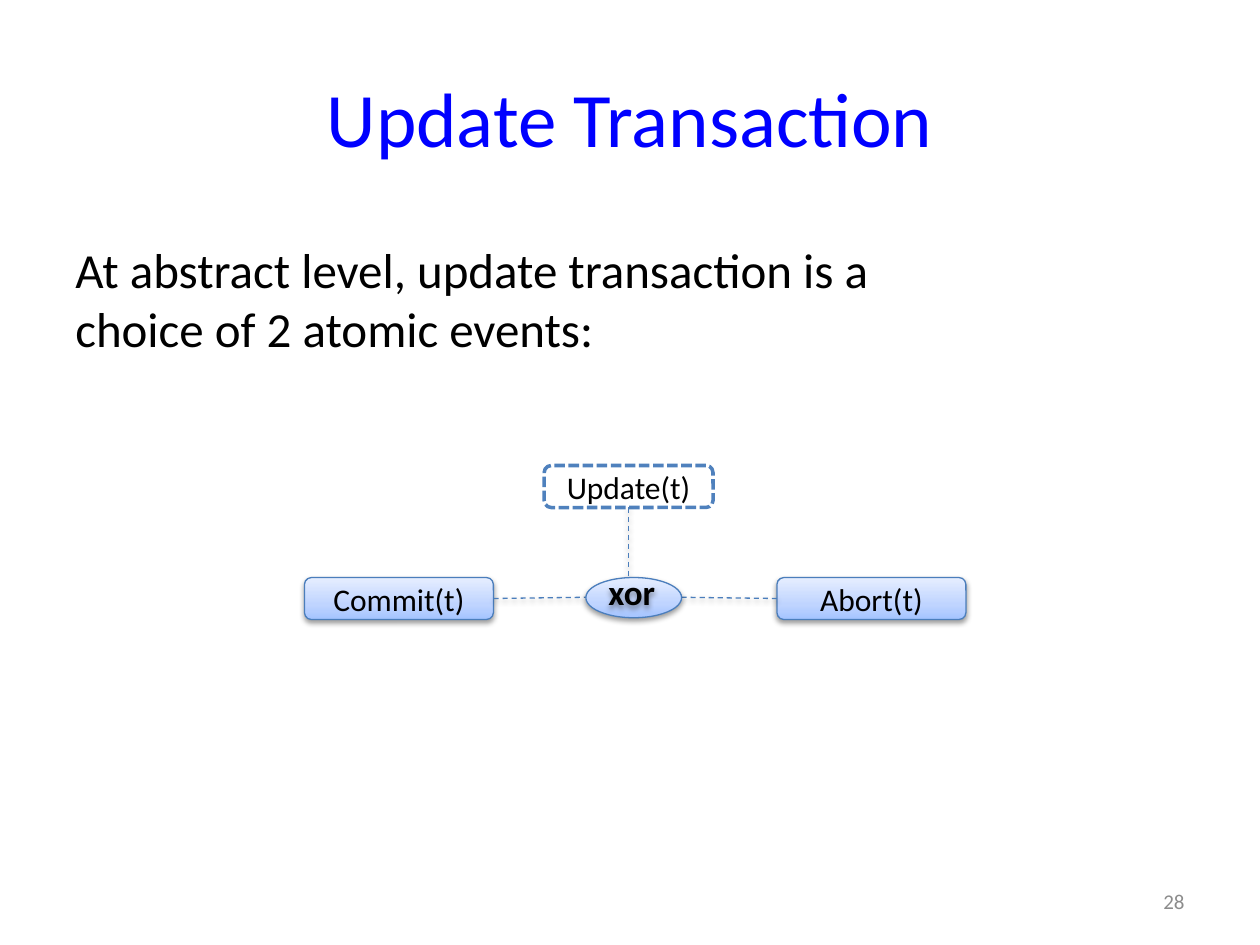
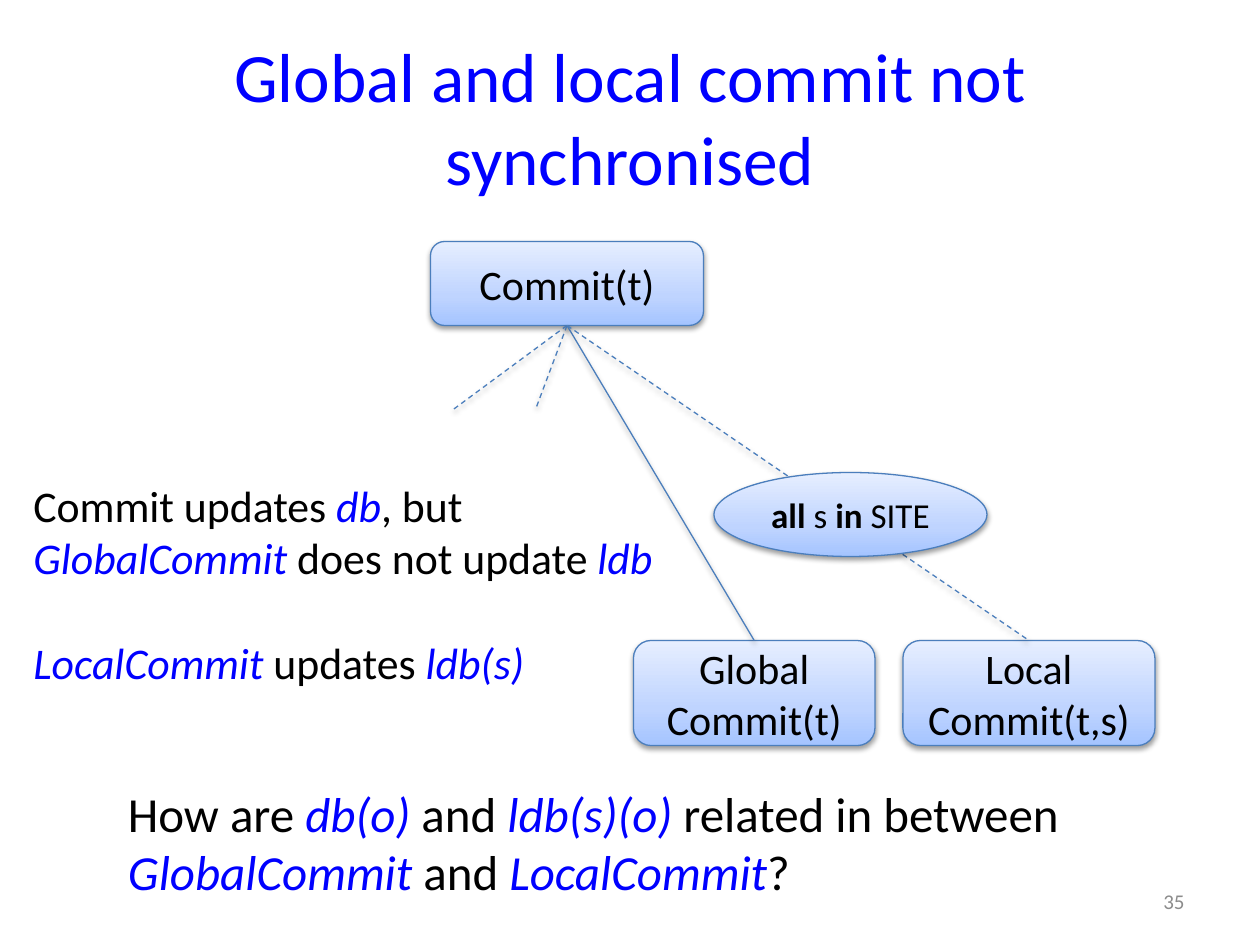
import copy

import pptx
import pptx.dml.color
import pptx.enum.dml
import pptx.enum.shapes
import pptx.enum.text
import pptx.oxml
import pptx.oxml.ns
import pptx.util

Pt = pptx.util.Pt
RGBColor = pptx.dml.color.RGBColor
qn = pptx.oxml.ns.qn
SHAPE = pptx.enum.shapes.MSO_SHAPE
DASH = pptx.enum.dml.MSO_LINE
ALIGN = pptx.enum.text.PP_ALIGN
ANCHOR = pptx.enum.text.MSO_ANCHOR

BLACK = RGBColor(0x00, 0x00, 0x00)
WHITE = RGBColor(0xFF, 0xFF, 0xFF)
BLUE = RGBColor(0x00, 0x00, 0xFF)
GREY = RGBColor(0x8C, 0x8C, 0x8C)
EDGE = RGBColor(0x4B, 0x7E, 0xBC)
DASHED_EDGE = RGBColor(0x4F, 0x81, 0xBD)
NODE_STOPS = [
    (0, RGBColor(0xA4, 0xC4, 0xFF)),
    (0.35, RGBColor(0xBF, 0xD4, 0xFF)),
    (1, RGBColor(0xE6, 0xEE, 0xFF)),
]
FONT = "Calibri"
TOP, LEFT, BOTTOM, RIGHT = range(4)
SHADOW = (
    '<a:effectLst xmlns:a="http://schemas.openxmlformats.org/drawingml/2006/main">'
    '<a:outerShdw blurRad="40000" dist="20000" dir="5400000" rotWithShape="0">'
    '<a:srgbClr val="000000"><a:alpha val="38000"/></a:srgbClr>'
    "</a:outerShdw></a:effectLst>"
)


def add_shadow(s):
    s._element.spPr.append(pptx.oxml.parse_xml(SHADOW))


def blue_italic(font):
    font.italic = True
    font.color.rgb = BLUE


def bold(font):
    font.bold = True


class Deck:
    def __init__(self):
        self.prs = pptx.Presentation()
        self.prs.slide_width, self.prs.slide_height = Pt(720), Pt(540)
        self.slide = None

    def new_slide(self, title, number, title_size=44):
        self.slide = self.prs.slides.add_slide(self.prs.slide_layouts[5])
        s = self.slide.shapes.title
        s.left, s.top, s.width, s.height = Pt(36), Pt(21.6), Pt(648), Pt(90)
        s.text_frame.auto_size = pptx.enum.text.MSO_AUTO_SIZE.NONE
        s.text_frame.vertical_anchor = ANCHOR.MIDDLE
        self.fill_text(s.text_frame, [title], title_size, BLUE, ALIGN.CENTER)
        s = self.text((516, 500.4, 168, 28.8), [number], 12, GREY, ALIGN.RIGHT)
        s.text_frame.vertical_anchor = ANCHOR.MIDDLE

    def fill_text(self, tf, lines, size, color=BLACK, align=ALIGN.LEFT,
                  emphasis=blue_italic, gap=0):
        """Add one paragraph per line; parts between asterisks get the emphasis."""
        for i, line in enumerate(lines):
            p = tf.add_paragraph() if i else tf.paragraphs[0]
            p.alignment = align
            if i and gap:
                p.space_before = Pt(gap)
            p.font.name, p.font.size = FONT, Pt(size)
            p.font.color.rgb = color
            for j, part in enumerate(line.split("*")):
                if part:
                    r = p.add_run()
                    r.text = part
                    if j % 2:
                        emphasis(r.font)

    def text(self, box, lines, size, color=BLACK, align=ALIGN.LEFT,
             emphasis=blue_italic, gap=0, wrap=True):
        s = self.slide.shapes.add_textbox(*map(Pt, box))
        s.text_frame.word_wrap = wrap
        self.fill_text(s.text_frame, lines, size, color, align, emphasis, gap)
        return s

    def outline(self, box, label, size, kind):
        s = self.slide.shapes.add_shape(kind, *map(Pt, box))
        s.text_frame.vertical_anchor = ANCHOR.MIDDLE
        self.fill_text(s.text_frame, [label], size, BLACK, ALIGN.CENTER, bold)
        return s

    def node(self, box, label, size, kind=SHAPE.ROUNDED_RECTANGLE):
        """Add a shaded event box or operator ellipse."""
        s = self.outline(box, label, size, kind)
        s.fill.gradient()
        s.fill.gradient_angle = 90
        stops = s._element.spPr.find(".//" + qn("a:gsLst"))
        stops.append(copy.deepcopy(stops[0]))
        for stop, (position, color) in zip(s.fill.gradient_stops, NODE_STOPS):
            stop.position, stop.color.rgb = position, color
        s.line.color.rgb, s.line.width = EDGE, Pt(0.75)
        add_shadow(s)
        return s

    def dashed_node(self, box, label, size):
        s = self.outline(box, label, size, SHAPE.ROUNDED_RECTANGLE)
        s.shadow.inherit = False
        s.fill.solid()
        s.fill.fore_color.rgb = WHITE
        s.line.color.rgb, s.line.width = DASHED_EDGE, Pt(2)
        s.line.dash_style = DASH.SQUARE_DOT
        return s

    def link(self, start, side, end, end_side=TOP, dashed=True):
        """Join a side of start to another shape, or to a point (x, y)."""
        free = isinstance(end, tuple)
        x, y = map(Pt, end) if free else (end.left, end.top)
        s = self.slide.shapes.add_connector(
            pptx.enum.shapes.MSO_CONNECTOR.STRAIGHT, start.left, start.top, x, y)
        s.begin_connect(start, side)
        if not free:
            s.end_connect(end, end_side)
        s.line.color.rgb, s.line.width = EDGE, Pt(0.75)
        if dashed:
            s.line.dash_style = DASH.DASH
        add_shadow(s)


def update_transaction(deck):
    deck.new_slide("Update Transaction", "28")
    deck.text((36, 133.2, 472.3, 74.9),
              ["At abstract level, update transaction is a",
               "choice of 2 atomic events:"], 28, wrap=False)
    commit = deck.node((174, 330, 108, 24), "Commit(t)", 18)
    abort = deck.node((444, 330, 108, 24), "Abort(t)", 18)
    update = deck.dashed_node((311, 266, 96.5, 24), "Update(t)", 18)
    deck.link(commit, RIGHT, (334.8, 341.3))
    deck.link(abort, LEFT, (389.5, 341.3))
    deck.link(update, BOTTOM, (359.25, 330))
    deck.node((334.8, 330, 54.7, 23), "", 20, SHAPE.OVAL)
    add_shadow(deck.text((340.6, 322.6, 62, 31.7), ["*xor*"], 20, emphasis=bold))


def unsynchronised_commit(deck):
    deck.new_slide("Global and local commit not synchronised", "35", 39.6)
    commit = deck.node((246, 138, 156, 48), "Commit(t)", 24)
    global_commit = deck.node((362, 366, 138, 60), "Global Commit(t)", 24)
    local_commit = deck.node((516, 366, 144, 60), "Local Commit(t,s)", 24)
    for x in (259, 306):
        deck.link(commit, BOTTOM, (x, 234))
    deck.link(commit, BOTTOM, global_commit, dashed=False)
    deck.link(commit, BOTTOM, local_commit)
    deck.node((408, 270, 156, 48), "*all* s *in* SITE", 20, SHAPE.OVAL)
    deck.text((66, 444, 558, 78),
              ["How are *db(o)* and *ldb(s)(o)* related in between "
               "*GlobalCommit* and *LocalCommit*?"], 28)
    deck.text((12, 270, 396, 132),
              ["Commit updates *db*, but *GlobalCommit* does not update *ldb*",
               "*LocalCommit* updates *ldb(s)*"], 25, gap=30)


def main():
    deck = Deck()
    update_transaction(deck)
    unsynchronised_commit(deck)
    deck.prs.save("out.pptx")


if __name__ == "__main__":
    main()
